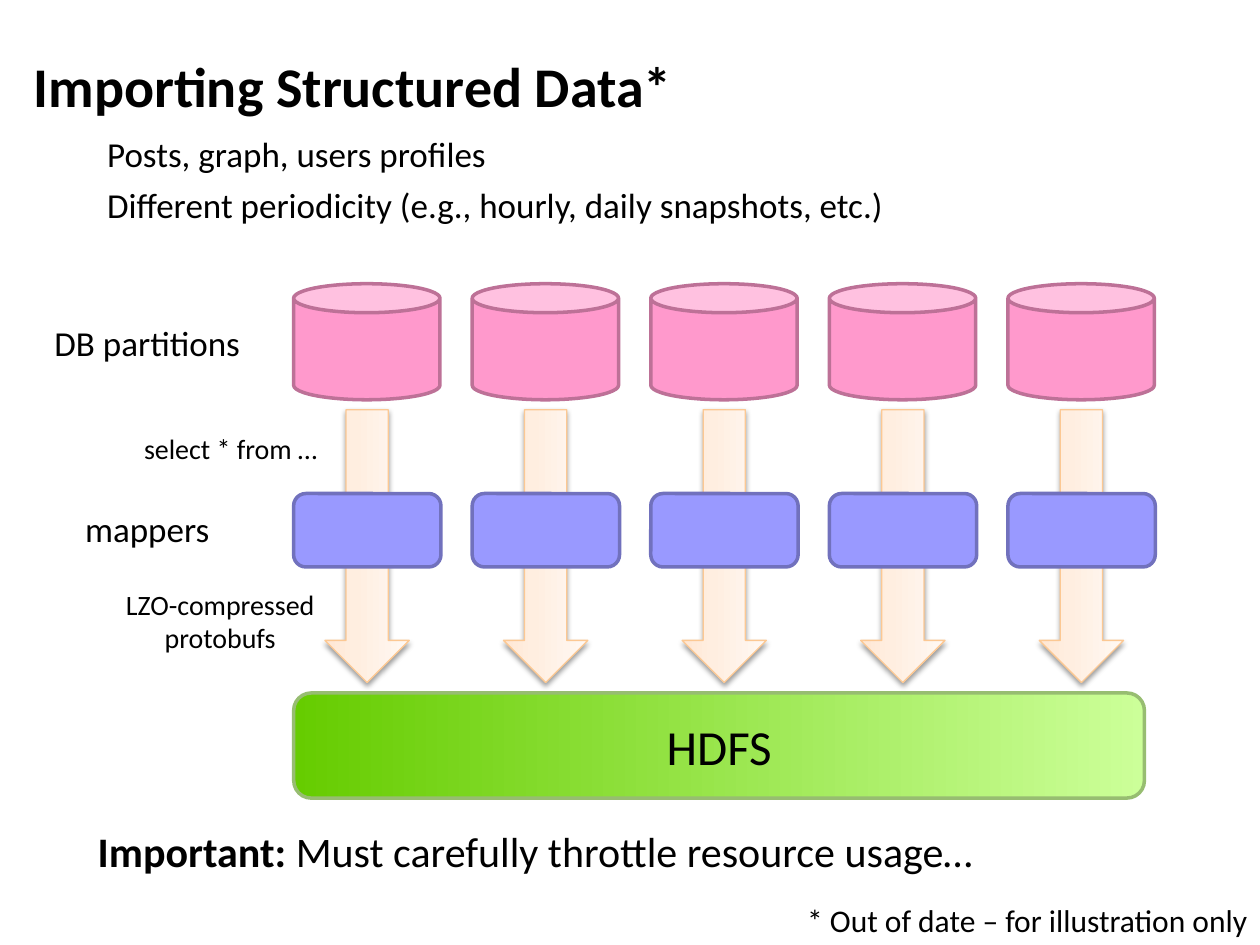
from lxml import etree
from pptx import Presentation
from pptx.dml.color import RGBColor
from pptx.enum.shapes import MSO_SHAPE
from pptx.enum.text import MSO_ANCHOR, MSO_AUTO_SIZE, PP_ALIGN
from pptx.oxml.ns import qn
from pptx.util import Cm, Pt

CAN, ARROW, ROUNDED = MSO_SHAPE.CAN, MSO_SHAPE.RIGHT_ARROW, MSO_SHAPE.ROUNDED_RECTANGLE
LEFT, CENTER, RIGHT = PP_ALIGN.LEFT, PP_ALIGN.CENTER, PP_ALIGN.RIGHT
MIDDLE, FIT = MSO_ANCHOR.MIDDLE, MSO_AUTO_SIZE.SHAPE_TO_FIT_TEXT

COLORS = {
    "text": "000000",
    "db": "FF99CC", "db_edge": "BD7197",
    "mapper": "9999FF", "mapper_edge": "7171BD",
    "arrow_edge": "FCC893", "hdfs_edge": "97BD71",
    "shadow": "000000",
}
ARROW_STOPS = [(0, "FFE7D4"), (35, "FFEEE0"), (100, "FFF8F3")]
HDFS_STOPS = [(0, "66CC00"), (100, "CCFF99")]
TEXT_FORMAT = {"name": "Calibri", "bold": False}

COLUMNS = 5
PITCH = 3.6  # cm from one partition to the next


def rgb(name):
    return RGBColor.from_string(COLORS[name])


def write(paragraph, wording, **changes):
    run = paragraph.add_run()
    run.text = wording
    for attribute, value in {**TEXT_FORMAT, **changes}.items():
        setattr(run.font, attribute, value)
    run.font.color.rgb = rgb("text")


def add_label(shapes, box, parts, size, align=CENTER, auto_size=FIT):
    """Text box whose parts are (wording, bold) pairs."""
    label = shapes.add_textbox(*map(Cm, box))
    frame_format = {"word_wrap": True, "auto_size": auto_size}
    if auto_size is None:
        frame_format["vertical_anchor"] = MIDDLE
    for attribute, value in frame_format.items():
        setattr(label.text_frame, attribute, value)
    paragraph = label.text_frame.paragraphs[0]
    paragraph.alignment = align
    for wording, bold in parts:
        write(paragraph, wording, size=Pt(size), bold=bold)


def add_block(shapes, kind, box, edge, width=2, fill=None):
    block = shapes.add_shape(kind, *map(Cm, box))
    block.shadow.inherit = False
    block.line.color.rgb = rgb(edge)
    block.line.width = Pt(width)
    if fill:
        block.fill.solid()
        block.fill.fore_color.rgb = rgb(fill)
    return block


def add_turned_block(shapes, kind, box, edge, width, stops):
    """Block turned by 90 degrees that covers box, shaded from left to right."""
    left, top, wide, high = box
    shift = (wide - high) / 2
    block = add_block(shapes, kind, (left + shift, top - shift, high, wide), edge, width)
    block.rotation = 90
    block.fill.gradient()
    block.fill.gradient_angle = 90
    stop_list = block._element.spPr.find(qn("a:gradFill")).find(qn("a:gsLst"))
    for old_stop in list(stop_list):
        stop_list.remove(old_stop)
    for position, color in stops:
        stop = etree.SubElement(stop_list, qn("a:gs"), pos=str(position * 1000))
        etree.SubElement(stop, qn("a:srgbClr"), val=color)
    return block


def add_soft_shadow(block):
    effects = block._element.spPr.find(qn("a:effectLst"))
    shadow = etree.SubElement(
        effects, qn("a:outerShdw"), blurRad=str(Pt(3.1)), dist=str(Pt(1.6)),
        dir="5400000", rotWithShape="0")
    color = etree.SubElement(shadow, qn("a:srgbClr"), val=COLORS["shadow"])
    etree.SubElement(color, qn("a:alpha"), val="38000")


def add_heading(shapes, left, top):
    add_label(shapes, (left, top, 24.13, 2.84), [("Importing Structured Data*", True)],
              32, LEFT, None)
    points = ["Posts, graph, users profiles",
              "Different periodicity (e.g., hourly, daily snapshots, etc.)"]
    for row, (point, width) in enumerate(zip(points, (12.5, 22.02))):
        add_label(shapes, (left + 1.48, top + 2.24 + 1.04 * row, width, 1.12),
                  [(point, False)], 20, LEFT)


def add_partitions(shapes, left, top):
    row = shapes.add_group_shape().shapes
    for column in range(COLUMNS):
        add_block(row, CAN, (left + PITCH * column, top, 2.95, 2.34), "db_edge", fill="db")
    add_label(row, (left - 5.49, top + 0.64, 5.08, 1.12), [("DB partitions", False)], 20)


def add_hdfs(shapes, left, top):
    store = add_turned_block(shapes, ROUNDED, (left, top, 17.15, 2.12),
                             "hdfs_edge", 2, HDFS_STOPS)
    frame = store.text_frame
    frame.vertical_anchor = MIDDLE
    frame._txBody.bodyPr.set("vert", "vert270")
    frame.paragraphs[0].alignment = CENTER
    write(frame.paragraphs[0], "HDFS", size=Pt(28))


def add_flows(shapes, left, top):
    row = shapes.add_group_shape().shapes
    for column in range(COLUMNS):
        flow = add_turned_block(row, ARROW, (left + 0.63 + PITCH * column, top, 1.7, 5.5),
                                "arrow_edge", 0.75, ARROW_STOPS)
        add_soft_shadow(flow)
    add_label(row, (left - 4.02, top + 3.45, 5.08, 1.63),
              [("LZO-compressed protobufs", False)], 16)
    add_label(row, (left - 3.81, top + 0.32, 5.08, 0.94), [("select * from …", False)], 16)


def add_mappers(shapes, left, top):
    row = shapes.add_group_shape().shapes
    for column in range(COLUMNS):
        add_block(row, ROUNDED, (left + PITCH * column, top, 2.97, 1.48),
                  "mapper_edge", fill="mapper")
    add_label(row, (left - 5.49, top + 0.16, 5.08, 1.12), [("mappers", False)], 20)


def add_remarks(shapes, left, top):
    add_label(shapes, (left, top, 20.32, 1.27),
              [("Important:", True), (" Must carefully throttle resource usage…", False)], 24)
    add_label(shapes, (left + 5.29, top + 1.52, 19.48, 1.02),
              [("* Out of date – for illustration only", False)], 18, RIGHT)


def main():
    deck = Presentation()
    deck.slide_width, deck.slide_height = Cm(25.4), Cm(19.05)
    shapes = deck.slides.add_slide(deck.slide_layouts[6]).shapes
    diagram_left = 5.92

    add_heading(shapes, 0.43, 0.3)
    # Data flow from the databases down to the file system
    add_partitions(shapes, diagram_left, 5.72)
    add_hdfs(shapes, diagram_left, 13.97)
    add_flows(shapes, diagram_left, 8.26)
    add_mappers(shapes, diagram_left, 9.95)
    add_remarks(shapes, 0.63, 16.51)

    deck.save("out.pptx")


if __name__ == "__main__":
    main()
